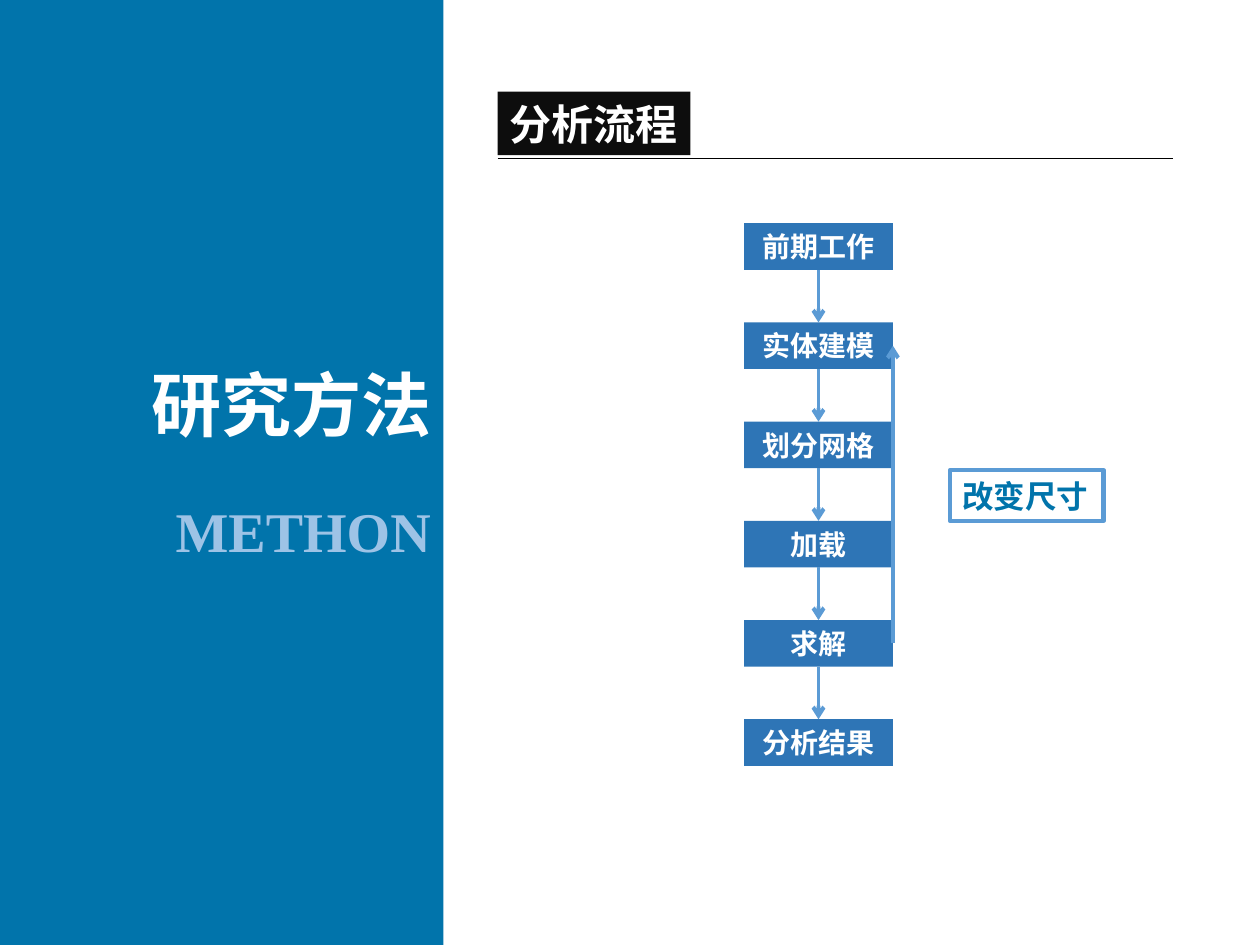
from dataclasses import dataclass

from lxml import etree
from pptx import Presentation
from pptx.dml.color import RGBColor
from pptx.enum import shapes, text
from pptx.oxml import ns
from pptx.util import Cm, Pt


@dataclass(frozen=True)
class Theme:
    panel: str = "0174AB"
    subtitle: str = "9DC3E6"
    heading: str = "0D0D0D"
    rule: str = "000000"
    step: str = "2E75B6"
    arrow: str = "5B9BD5"
    white: str = "FFFFFF"
    cjk: str = "Noto Sans CJK SC"
    latin: str = "Times New Roman"
    title_size: int = 40
    subtitle_size: int = 32
    heading_size: int = 24
    note_size: int = 18
    step_size: int = 16


THEME = Theme()
LEFT, CENTER, RIGHT = text.PP_ALIGN.LEFT, text.PP_ALIGN.CENTER, text.PP_ALIGN.RIGHT


def write(shape, words, size, color, align, font=THEME.cjk, wrap=True):
    frame = shape.text_frame
    frame.word_wrap = wrap
    frame.auto_size = text.MSO_AUTO_SIZE.NONE
    frame.vertical_anchor = text.MSO_ANCHOR.MIDDLE
    paragraph = frame.paragraphs[0]
    paragraph.alignment = align
    run = paragraph.add_run()
    run.text = words
    run.font.name = font
    run.font.size = Pt(size)
    run.font.bold = True
    run.font.color.rgb = RGBColor.from_string(color)
    # East Asian characters take their typeface from a:ea
    etree.SubElement(run.font._element, ns.qn("a:ea"), typeface=font)


def add_block(parent, left, top, width, height, fill, border=None):
    block = parent.add_shape(shapes.MSO_SHAPE.RECTANGLE,
                             Cm(left), Cm(top), Cm(width), Cm(height))
    block.shadow.inherit = False
    block.fill.solid()
    block.fill.fore_color.rgb = RGBColor.from_string(fill)
    if border:
        block.line.color.rgb = RGBColor.from_string(border)
        block.line.width = Pt(2.5)
    else:
        block.line.fill.background()
    return block


def add_line(parent, color, weight, start=(0, 0), end=(0, 0)):
    line = parent.add_connector(shapes.MSO_CONNECTOR.STRAIGHT,
                                *(Cm(n) for n in (*start, *end)))
    line.line.color.rgb = RGBColor.from_string(color)
    line.line.width = Pt(weight)
    etree.SubElement(line._element.spPr, ns.qn("a:effectLst"))
    return line


def add_arrow(parent, source, source_side, target, target_side):
    arrow = add_line(parent, THEME.arrow, 2.25)
    arrow.begin_connect(source, source_side)
    arrow.end_connect(target, target_side)
    etree.SubElement(arrow.line._get_or_add_ln(), ns.qn("a:tailEnd"), type="arrow")


def add_title_panel(parent, left, top, width, height):
    add_block(parent, left, top, width, height, THEME.panel)
    title = parent.add_textbox(Cm(left + 2.5), Cm(top + 7.16), Cm(width - 2.5), Cm(1.96))
    write(title, "研究方法", THEME.title_size, THEME.white, RIGHT)
    subtitle = parent.add_textbox(Cm(left), Cm(top + 9.88), Cm(width), Cm(1.63))
    write(subtitle, "METHON", THEME.subtitle_size, THEME.subtitle, RIGHT, THEME.latin)


def add_heading(parent, left, top, width, height):
    """A label with a rule along the bottom of the box."""
    group = parent.add_group_shape().shapes
    label = add_block(group, left, top, 3.89, height - 0.07, THEME.heading)
    write(label, "分析流程", THEME.heading_size, THEME.white, LEFT, wrap=False)
    bottom = top + height
    add_line(group, THEME.rule, 0.5, (left, bottom), (left + width, bottom))


def add_flow(parent, left, top, width, height):
    """Steps spread evenly over the box, with a loop back and its note."""
    names = ["前期工作", "实体建模", "划分网格", "加载", "求解", "分析结果"]
    step_height = 0.94
    pitch = (height - step_height) / (len(names) - 1)
    steps = []
    for i, name in enumerate(names):
        step = add_block(parent, left, top + i * pitch, width, step_height, THEME.step)
        write(step, name, THEME.step_size, THEME.white, CENTER)
        steps.append(step)
    for upper, lower in zip(steps, steps[1:]):
        add_arrow(parent, upper, 2, lower, 0)

    modelling, solving = steps[1], steps[4]
    add_arrow(parent, solving, 3, modelling, 3)
    note = add_block(parent, left + width + 1.15, top + 4.98, 3.1, 1.02,
                     THEME.white, THEME.arrow)
    write(note, "改变尺寸", THEME.note_size, THEME.panel, LEFT)


def main():
    deck = Presentation()
    deck.slide_width, deck.slide_height = Cm(25.4), Cm(19.05)
    canvas = deck.slides.add_slide(deck.slide_layouts[6]).shapes
    add_title_panel(canvas, 0, 0, 8.94, 19.05)
    add_heading(canvas, 10.03, 1.85, 13.62, 1.35)
    add_flow(canvas, 15, 4.5, 3, 10.94)
    deck.save("out.pptx")


if __name__ == "__main__":
    main()
